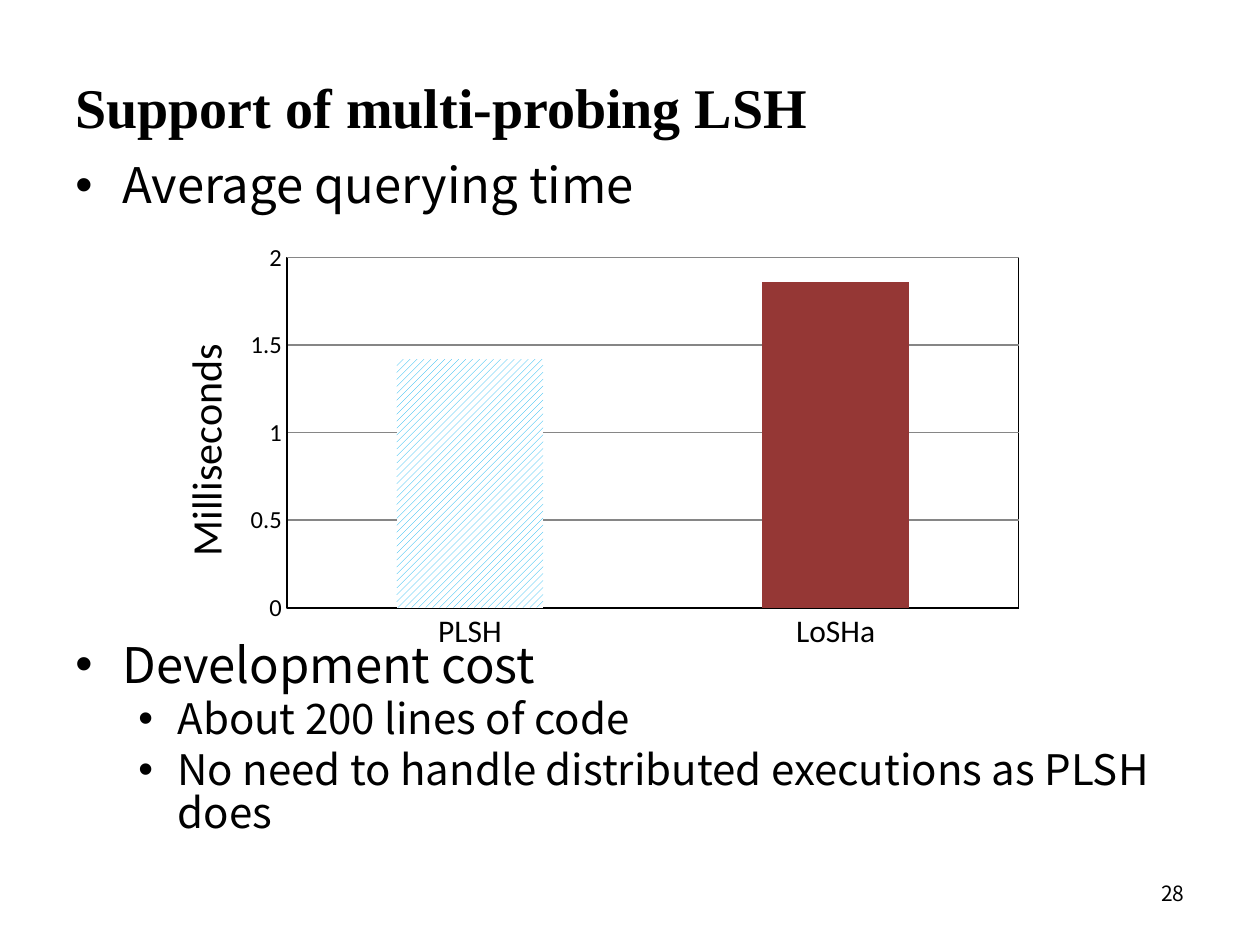
from dataclasses import dataclass

from lxml.etree import SubElement
from pptx import Presentation
from pptx.chart.data import CategoryChartData
from pptx.dml.color import RGBColor
from pptx.enum.chart import XL_CHART_TYPE as ChartType, XL_TICK_MARK as Tick
from pptx.enum.dml import MSO_PATTERN as Pattern
from pptx.enum.text import MSO_ANCHOR as Anchor, PP_ALIGN as Align
from pptx.oxml import parse_xml
from pptx.oxml.ns import nsdecls, qn
from pptx.util import Cm, Pt

BODY_FONT = "Noto Sans CJK SC"
BLACK = "000000"


@dataclass
class Box:
    left: float
    top: float
    width: float
    height: float

    def lengths(self) -> list:
        return [Cm(v) for v in (self.left, self.top, self.width, self.height)]


@dataclass
class Bullet:
    text: str
    size: float = 28
    margin: float = 0.95
    hang: float = 0.95
    before: float = 0


@dataclass
class SubBullet(Bullet):
    size: float = 24
    margin: float = 2.06
    hang: float = 0.79
    before: float = 4


def color(value: str) -> RGBColor:
    return RGBColor.from_string(value)


def style(font, name: str, size: float, bold: bool = False) -> None:
    font.name = name
    font.size = Pt(size)
    font.bold = bold
    font.color.rgb = color(BLACK)


def add_box(slide, box: Box, anchor=Anchor.TOP):
    tf = slide.shapes.add_textbox(*box.lengths()).text_frame
    tf.word_wrap = True
    tf.vertical_anchor = anchor
    return tf


def add_line(slide, box: Box, text: str, font: str, size: float,
             bold: bool = False, align=Align.LEFT) -> None:
    tf = add_box(slide, box, Anchor.MIDDLE)
    tf.text = text
    p = tf.paragraphs[0]
    p.alignment = align
    style(p.runs[0].font, font, size, bold)


def add_bullets(slide, box: Box, bullets: list[Bullet]) -> None:
    tf = add_box(slide, box)
    for i, b in enumerate(bullets):
        p = tf.add_paragraph() if i else tf.paragraphs[0]
        p.text = b.text
        p.line_spacing = 0.86
        p.space_before = Pt(b.before)
        pPr = p._p.get_or_add_pPr()
        pPr.set("marL", str(Cm(b.margin)))
        pPr.set("indent", str(-Cm(b.hang)))
        SubElement(pPr, qn("a:buFont")).set("typeface", "Arial")
        SubElement(pPr, qn("a:buChar")).set("char", "•")
        style(p.runs[0].font, BODY_FONT, b.size)


def layout(**values) -> object:
    parts = "".join(f'<c:{k} val="{v}"/>' for k, v in values.items())
    return parse_xml(f'<c:layout {nsdecls("c")}><c:manualLayout>{parts}'
                     '</c:manualLayout></c:layout>')


def set_line(line, value: str, width: float) -> None:
    line.color.rgb = color(value)
    line.width = Pt(width)


def add_time_chart(slide, box: Box) -> None:
    data = CategoryChartData()
    data.categories = ["PLSH", "LoSHa"]
    data.add_series("Series 1", [1.42, 1.86])
    chart = slide.shapes.add_chart(
        ChartType.COLUMN_CLUSTERED, *box.lengths(), data).chart
    chart.has_legend = False
    chart.has_title = False
    style(chart.font, "Calibri", 10)

    for axis, size in ((chart.category_axis, 18), (chart.value_axis, 14)):
        axis.major_tick_mark = axis.minor_tick_mark = Tick.NONE
        style(axis.tick_labels.font, "Calibri", size)
        set_line(axis.format.line, BLACK, 1)

    axis = chart.value_axis
    axis.minimum_scale, axis.maximum_scale, axis.major_unit = 0, 2, 0.5
    axis.tick_labels.number_format = "General"
    axis.tick_labels.number_format_is_linked = False
    set_line(axis.major_gridlines.format.line, "868686", 0.75)
    title = axis.axis_title
    tf = title.text_frame
    tf.text = "Milliseconds"
    style(tf.paragraphs[0].runs[0].font, "Calibri", 24)
    tf._txBody.find(qn("a:bodyPr")).set("rot", "-5400000")
    for old in title._element.findall(qn("c:layout")):
        title._element.remove(old)
    title._element.find(qn("c:tx")).addnext(
        layout(xMode="edge", yMode="edge", x=0.04, y=0.24))

    plot = chart.plots[0]
    plot.gap_width = 150
    plot.vary_by_categories = False
    series = plot.series[0]
    series.format.fill.solid()
    series.format.fill.fore_color.rgb = color("0F6FC6")
    fill = series.points[0].format.fill
    fill.patterned()
    fill.pattern = Pattern.WIDE_UPWARD_DIAGONAL
    fill.fore_color.rgb = color("00B0F0")
    fill.back_color.rgb = color("FFFFFF")
    fill = series.points[1].format.fill
    fill.solid()
    fill.fore_color.rgb = color("953735")

    area = chart._chartSpace.find(qn("c:chart")).find(qn("c:plotArea"))
    for old in area.findall(qn("c:layout")):
        area.remove(old)
    area.insert(0, layout(layoutTarget="inner", xMode="edge", yMode="edge",
                          x=0.17, y=0.055, w=0.81, h=0.82))
    area.append(parse_xml(
        f'<c:spPr {nsdecls("c", "a")}><a:noFill/><a:ln w="{Pt(1)}"><a:solidFill>'
        f'<a:srgbClr val="{BLACK}"/></a:solidFill></a:ln></c:spPr>'))
    chart._chartSpace.find(qn("c:chart")).addnext(parse_xml(
        f'<c:spPr {nsdecls("c", "a")}><a:noFill/><a:ln><a:noFill/></a:ln></c:spPr>'))


def main() -> None:
    prs = Presentation()
    prs.slide_width, prs.slide_height = Cm(25.4), Cm(19.05)
    slide = prs.slides.add_slide(prs.slide_layouts[6])
    add_line(slide, Box(1.27, 1.32, 22.86, 1.63), "Support of multi-probing LSH",
             "Times New Roman", 32, bold=True)
    add_bullets(slide, Box(1.27, 3.17, 23.04, 1.5), [Bullet("Average querying time")])
    add_bullets(slide, Box(1.27, 12.83, 23.04, 5.1), [
        Bullet("Development cost"),
        SubBullet("About 200 lines of code"),
        SubBullet("No need to handle distributed executions as PLSH does"),
    ])
    add_line(slide, Box(18.21, 17.5, 5.92, 1.02), "28", BODY_FONT, 12,
             align=Align.RIGHT)
    add_time_chart(slide, Box(2.69, 4.72, 18.21, 8.61))
    prs.save("out.pptx")


if __name__ == "__main__":
    main()
